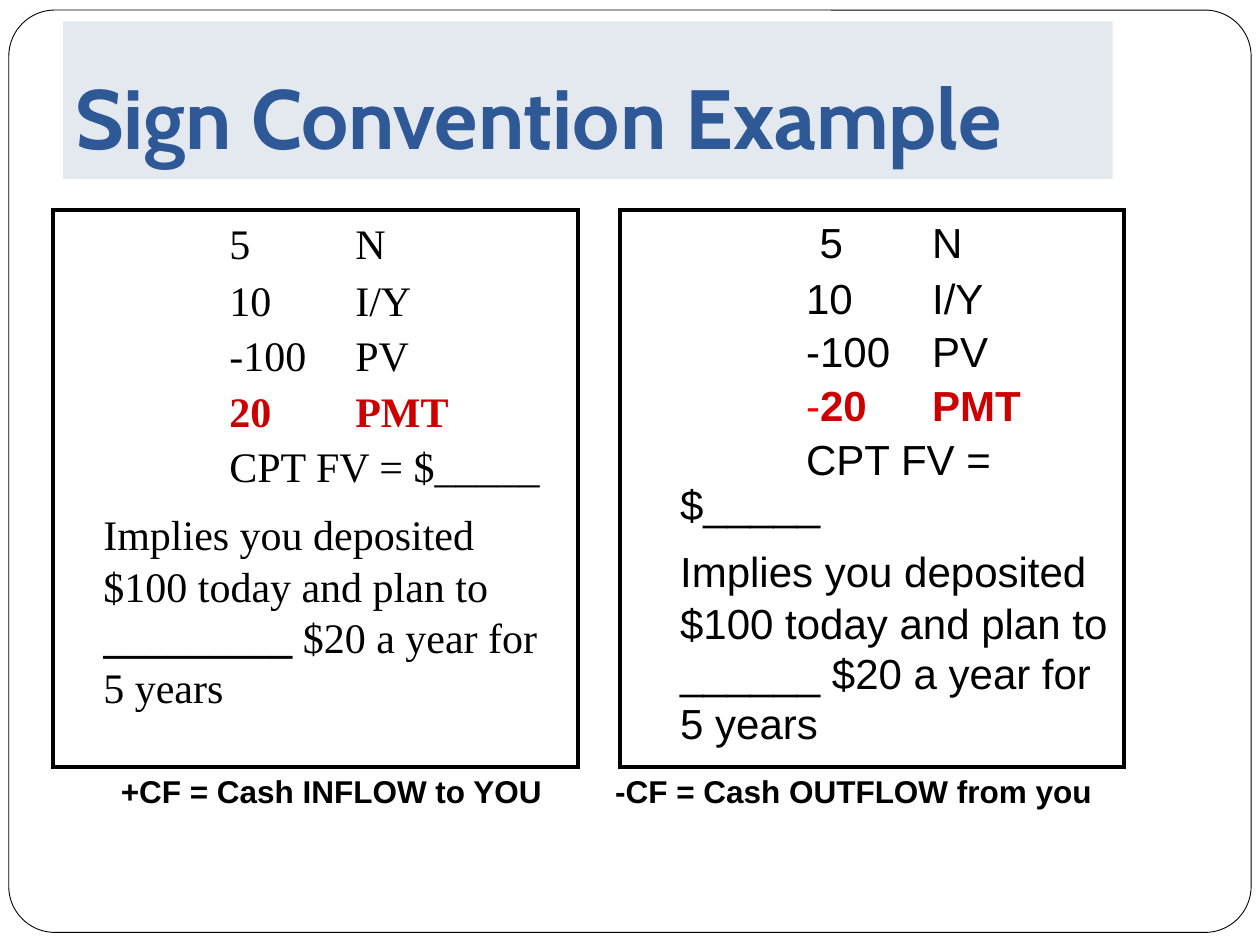
from pptx import Presentation
from pptx import util as u
from pptx.dml.color import RGBColor
from pptx.enum import shapes, text
from pptx.oxml import parse_xml
from pptx.oxml.ns import nsdecls

BLACK, RED, BRIGHT_RED = "000000", "CC0000", "FF0000"
DEPOSIT = "Implies you deposited $100 today and plan to "


def rgb(value):
    return RGBColor.from_string(value)


def element(tag, **attributes):
    e = parse_xml(f"<a:{tag} {nsdecls('a')}/>")
    for name, value in attributes.items():
        e.set(name, value)
    return e


def add_run(p, content, font="Arial", size=24, color=BLACK, bold=False):
    r = p.add_run()
    r.text = content
    r.font.name, r.font.size, r.font.bold = font, u.Pt(size), bold
    r.font.color.rgb = rgb(color)
    return r


class SlideBuilder:
    def __init__(self, prs):
        self.s = prs.slides.add_slide(prs.slide_layouts[1])

    def place(self, sp, left, top, width, height):
        sp.left, sp.top = u.Inches(left), u.Inches(top)
        sp.width, sp.height = u.Inches(width), u.Inches(height)

    def outline(self, sp, width):
        sp.line.color.rgb = rgb(BLACK)
        sp.line.width = u.Pt(width)
        sp.line._get_or_add_ln().append(element("miter", lim="800000"))

    def frame(self, *box):
        sp = self.s.shapes.add_shape(
            shapes.MSO_SHAPE.ROUNDED_RECTANGLE, *map(u.Inches, box))
        sp.adjustments[0] = 0.05
        sp.shadow.inherit = False
        sp.fill.solid()
        sp.fill.fore_color.rgb = rgb("FFFFFF")
        self.outline(sp, 0.5)
        self.s.shapes._spTree.insert(2, sp._element)

    def title(self, content, *box):
        sp = self.s.shapes.title
        self.place(sp, *box)
        sp.fill.solid()
        sp.fill.fore_color.rgb = rgb("E4E9EF")
        tf = sp.text_frame
        tf.auto_size = text.MSO_AUTO_SIZE.NONE
        tf.vertical_anchor = text.MSO_ANCHOR.BOTTOM
        tf.margin_bottom = u.Inches(0.1)
        p = tf.paragraphs[0]
        p.alignment = text.PP_ALIGN.LEFT
        add_run(p, content, "Cabin", 48, "2F5897", True)

    def body(self):
        return self.s.placeholders[1]

    def text_box(self):
        return self.s.shapes.add_textbox(0, 0, 0, 0)

    def panel(self, sp, box, rows, font, indent, before):
        self.place(sp, *box)
        self.outline(sp, 2.25)
        tf = sp.text_frame
        tf.word_wrap = True
        tf.auto_size = text.MSO_AUTO_SIZE.NONE
        for i, runs in enumerate(rows):
            p = tf.add_paragraph() if i else tf.paragraphs[0]
            p.line_spacing = 1.0 if i == len(rows) - 1 else 0.9
            p.space_before = u.Pt(before)
            pPr = p._p.get_or_add_pPr()
            pPr.set("marL", str(u.Inches(indent)))
            pPr.set("indent", str(-u.Inches(indent)))
            pPr.set("defTabSz", str(u.Inches(1)))
            pPr.append(element("buNone"))
            for content, style in runs:
                add_run(p, content, font, **style)

    def caption(self, content, *box):
        sp = self.text_box()
        self.place(sp, *box)
        tf = sp.text_frame
        tf.word_wrap = True
        p = tf.paragraphs[0]
        p.alignment = text.PP_ALIGN.CENTER
        add_run(p, content, size=18, bold=True)


def calculator_rows(lead, rate, payment, conclusion):
    return [
        [(lead, {"size": 28}), ("5 \tN", {})],
        [(rate, {})],
        [("\t\t-100\tPV", {})],
        [("\t\t", {}), *payment, ("20\tPMT", {"color": RED, "bold": True})],
        [("\t\tCPT FV = $_____", {})],
        [("\t", {"size": 28}), *conclusion],
    ]


def main():
    prs = Presentation()
    prs.slide_width, prs.slide_height = u.Inches(10), u.Inches(7.5)
    b = SlideBuilder(prs)
    b.frame(0.07, 0.08, 9.86, 7.32)
    b.title("Sign Convention Example", 0.5, 0.17, 8.33, 1.25)

    inflow = calculator_rows(
        "\t\t", "\t\t10 \tI/Y", [],
        [(DEPOSIT, {}), ("_________", {"bold": True}),
         (" $20 a year for 5 years", {})])
    outflow = calculator_rows(
        "\t\t ", "\t\t10\tI/Y", [("-", {"color": BRIGHT_RED})],
        [(DEPOSIT + "______ $20 a year for 5 years", {})])
    b.panel(b.body(), (0.42, 1.67, 4.17, 4.42), inflow,
            "Times New Roman", 0.3, 5.8)
    b.panel(b.text_box(), (4.92, 1.67, 4, 4.42), outflow,
            "Arial", 0.38, 4.8)

    b.caption("+CF = Cash INFLOW to YOU", 0.67, 6.08, 3.92, 0.4)
    b.caption("-CF = Cash OUTFLOW from you", 4.61, 6.08, 4.33, 0.4)
    prs.save("out.pptx")


if __name__ == "__main__":
    main()
